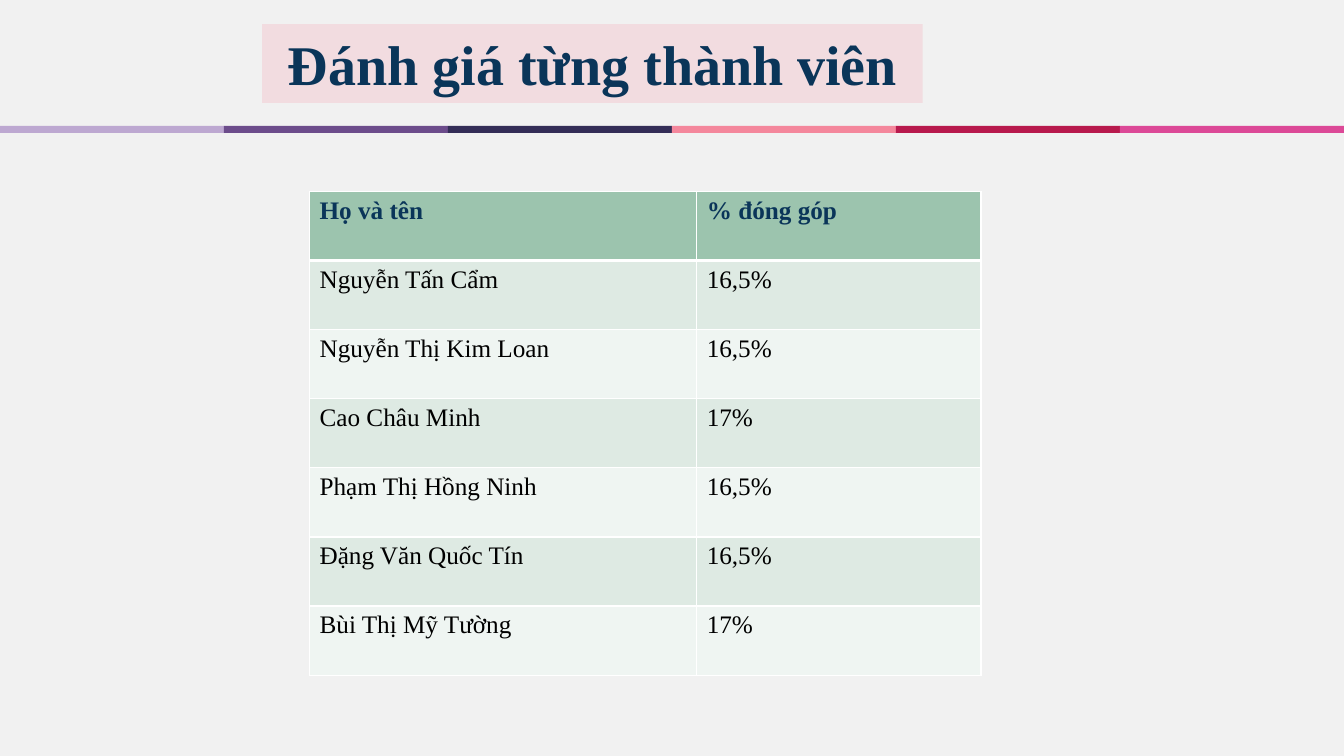
import pptx
import pptx.util
import pptx.dml.color
import pptx.enum.shapes
import pptx.enum.text
import lxml.etree

FONT = "Times New Roman"
NAVY = "0A3559"
MEMBERS = [
    ("Họ và tên", "% đóng góp"),
    ("Nguyễn Tấn Cẩm", "16,5%"),
    ("Nguyễn Thị Kim Loan", "16,5%"),
    ("Cao Châu Minh", "17%"),
    ("Phạm Thị Hồng Ninh", "16,5%"),
    ("Đặng Văn Quốc Tín", "16,5%"),
    ("Bùi Thị Mỹ Tường", "17%"),
]
STRIPES = ["BDA8D1", "6C4C8B", "342D57", "F4879C", "B81A4D", "DC4997"]


def paint(fill, color):
    fill.solid()
    fill.fore_color.rgb = pptx.dml.color.RGBColor.from_string(color)


def format_text(paragraph, size, color, bold):
    for run in paragraph.runs:
        run.font.name = FONT
        run.font.size = pptx.util.Pt(size)
        run.font.bold = bold
        paint(run.font.fill, color)


inches = pptx.util.Inches
presentation = pptx.Presentation()
presentation.slide_width = inches(13.33)
presentation.slide_height = inches(7.5)
slide = presentation.slides.add_slide(presentation.slide_layouts[5])
paint(slide.background.fill, "F1F1F1")

stripe_width = presentation.slide_width / len(STRIPES)
for column, color in enumerate(STRIPES):
    left = round(column * stripe_width)
    right = round((column + 1) * stripe_width)
    stripe = slide.shapes.add_shape(
        pptx.enum.shapes.MSO_SHAPE.RECTANGLE,
        left, inches(1.25), right - left, inches(0.07))
    stripe.shadow.inherit = False
    paint(stripe.fill, color)
    stripe.line.fill.background()

title = slide.shapes.title
title.left, title.top = inches(2.6), inches(0.24)
title.width, title.height = inches(6.55), inches(0.78)
paint(title.fill, "F2DCE0")
frame = title.text_frame
frame.text = "Đánh giá từng thành viên"
frame.margin_left = frame.margin_right = frame.margin_top = frame.margin_bottom = 0
frame.word_wrap = True
frame.auto_size = pptx.enum.text.MSO_AUTO_SIZE.NONE
frame.vertical_anchor = pptx.enum.text.MSO_ANCHOR.MIDDLE
frame.paragraphs[0].alignment = pptx.enum.text.PP_ALIGN.CENTER
format_text(frame.paragraphs[0], 40, NAVY, True)

table = slide.shapes.add_table(
    len(MEMBERS), 2, inches(3.07), inches(1.9), inches(6.66), inches(4.8)).table
table.columns[0].width = inches(3.84)
table.columns[1].width = inches(2.82)
for row, member in enumerate(MEMBERS):
    header = row == 0
    for column, text in enumerate(member):
        cell = table.cell(row, column)
        cell.text_frame.text = text
        format_text(cell.text_frame.paragraphs[0], 18, NAVY if header else "000000", header)
        properties = cell._tc.get_or_add_tcPr()
        for side in ("L", "R", "T", "B"):
            under_header = (row, side) in ((0, "B"), (1, "T"))
            border = lxml.etree.SubElement(properties, pptx.oxml.ns.qn("a:ln" + side))
            border.set("w", str(pptx.util.Pt(3 if under_header else 1)))
            solid = lxml.etree.SubElement(border, pptx.oxml.ns.qn("a:solidFill"))
            lxml.etree.SubElement(solid, pptx.oxml.ns.qn("a:srgbClr")).set("val", "FFFFFF")
        paint(cell.fill, "9CC4AE" if header else ("EFF5F2", "DEEAE3")[row % 2])

presentation.save("out.pptx")
